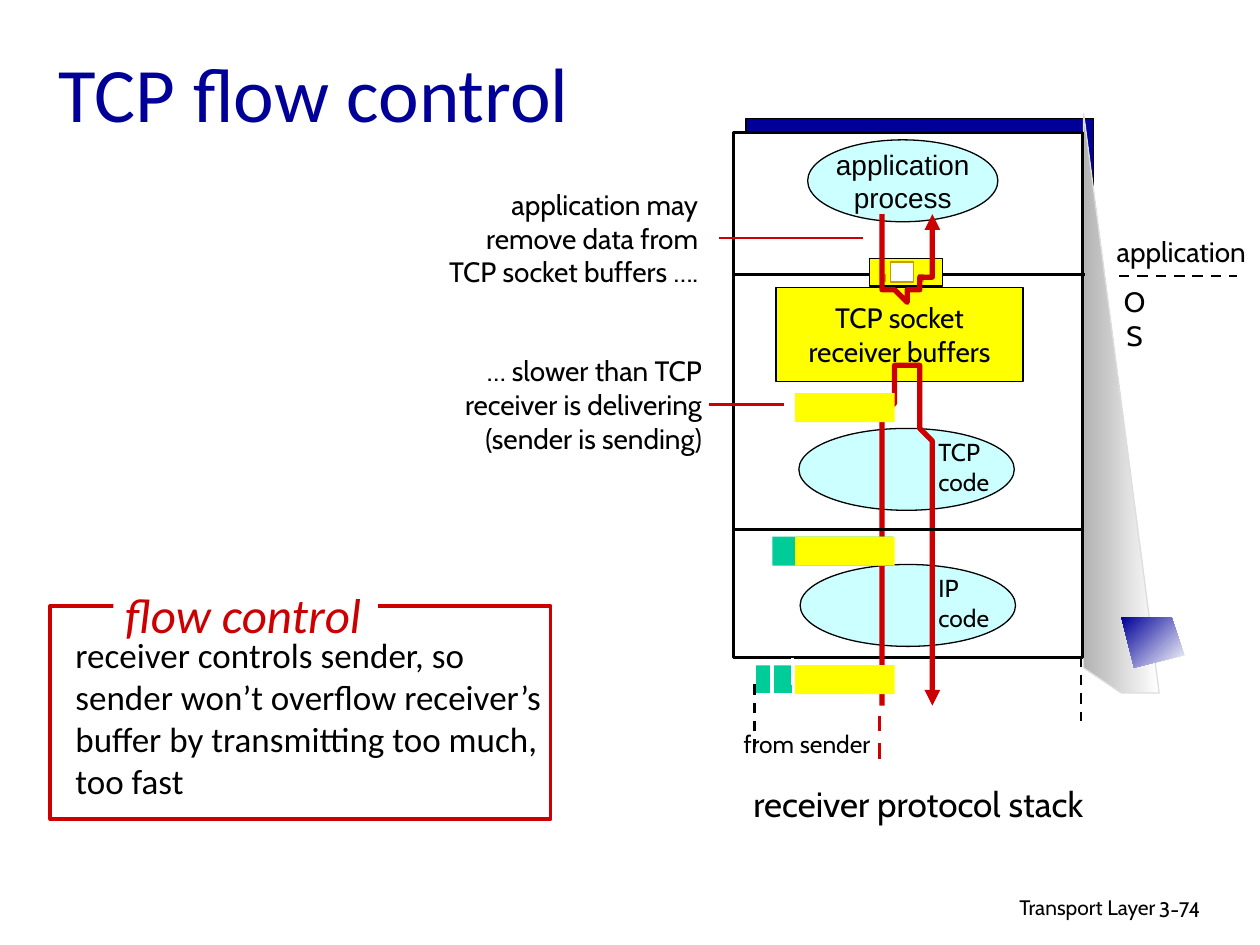
import pptx
import pptx.util
import pptx.dml.color
import pptx.enum.dml
import pptx.enum.shapes
import pptx.enum.text
import pptx.oxml
import pptx.oxml.ns

THEME = dict(
    navy="000099", red="CC0000", aqua="CCFFFF", yellow="FFFF00", green="00CC99",
    gold="CC9900", gray="B2B2B2", pale="DDDDDD", white="FFFFFF", black="000000",
    display="Calibri", label="Cabin", plain="Arial",
    title=44, heading=28, body=20, note=16, small=14, footer=12,
    hair=0.75, rule=1.5, bold=2.25, curve=3,
)
SHAPES = pptx.enum.shapes.MSO_SHAPE
ALIGN = {"l": pptx.enum.text.PP_ALIGN.LEFT, "c": pptx.enum.text.PP_ALIGN.CENTER,
         "r": pptx.enum.text.PP_ALIGN.RIGHT}
MIDDLE = pptx.enum.text.MSO_ANCHOR.MIDDLE
TOP = pptx.enum.text.MSO_ANCHOR.TOP

prs = pptx.Presentation()
prs.slide_width = pptx.util.Inches(10)
prs.slide_height = pptx.util.Inches(7.5)
s = prs.slides.add_slide(prs.slide_layouts[6])
U = prs.slide_width / 100  # grid of 100 columns by 75 rows of square cells
rgb = {k: pptx.dml.color.RGBColor.from_string(v)
       for k, v in THEME.items() if isinstance(v, str) and len(v) == 6}


def box(at, kind=None, fill=None, line=None, width="hair", text=None, size="note",
        font="label", color="black", align="c", anchor=TOP, wrap=False, italic=None):
    """Shape, or text box when no kind is given, at (column, row, columns, rows)."""
    at = [round(v * U) for v in at]
    if kind is None:
        sp = s.shapes.add_textbox(*at)
    else:
        sp = s.shapes.add_shape(kind, *at)
        sp.shadow.inherit = False
        sp.fill.solid()
        sp.fill.fore_color.rgb = rgb[fill]
        if line:
            sp.line.color.rgb = rgb[line]
            sp.line.width = pptx.util.Pt(THEME[width])
        else:
            sp.line.fill.background()
    if text:
        tf = sp.text_frame
        tf.text = text
        tf.word_wrap = wrap
        tf.vertical_anchor = anchor
        for p in tf.paragraphs:
            p.alignment = ALIGN[align]
            p.font.size = pptx.util.Pt(THEME[size])
            p.font.name = THEME[font]
            p.font.color.rgb = rgb[color]
            p.font.italic = italic


def rule(x1, y1, x2, y2, color="black", width="rule", dashed=False):
    """Straight line between two grid points."""
    c = s.shapes.add_connector(pptx.enum.shapes.MSO_CONNECTOR.STRAIGHT,
                               *[round(v * U) for v in (x1, y1, x2, y2)])
    c.line.color.rgb = rgb[color]
    c.line.width = pptx.util.Pt(THEME[width])
    if dashed:
        c.line.dash_style = pptx.enum.dml.MSO_LINE.DASH
    c._element.spPr.append(pptx.oxml.parse_xml(
        f'<a:effectLst {pptx.oxml.ns.nsdecls("a")}/>'))


# Footer and title
box((61, 70.5, 31.7, 3.1), text="Transport Layer", size="footer", align="r", wrap=True)
box((91, 70.7, 7.4, 3), text="3-74", size="footer", align="l", wrap=True)
box((3.7, 1.9, 85, 10.7), text="TCP flow control", size="title", font="display",
    color="navy", align="l", anchor=MIDDLE, wrap=True)

# Backdrop of the stack, its cast shade and the tilted tile
box((59.2, 9.4, 27.6, 42.2), SHAPES.RECTANGLE, "navy", "black")
for points, end, angle, line in (
    ([(92.2, 55.1), (86.1, 9.3), (85.9, 53.1), (89.1, 55.3)], "gray", 180, "pale"),
    ([(89.3, 48.6), (93.1, 48.8), (93.8, 52.2), (90.2, 53.1)], "navy", 135, None),
):
    fb = s.shapes.build_freeform(*points[0], scale=U)
    fb.add_line_segments(points[1:], close=True)
    sp = fb.convert_to_shape()
    sp.shadow.inherit = False
    sp.fill.gradient()
    sp.fill.gradient_angle = angle
    for stop, name in zip(sp.fill.gradient_stops, ("white", end)):
        stop.color.rgb = rgb[name]
    if line:
        sp.line.color.rgb = rgb[line]
        sp.line.width = pptx.util.Pt(THEME["hair"])
    else:
        sp.line.fill.background()

# Protocol stack: frame, process, buffers, code
box((58.2, 10.5, 27.7, 41.7), SHAPES.RECTANGLE, "white", "black", "rule")
box((64.1, 11.1, 15.1, 6.5), SHAPES.OVAL, "aqua", "black",
    text="application\nprocess", font="plain", anchor=MIDDLE)
box((61.6, 22.8, 19.6, 7.5), SHAPES.RECTANGLE, "yellow", "black",
    text="TCP socket\nreceiver buffers", anchor=MIDDLE)
for name, x, y in (("TCP", 63.4, 34), ("IP", 63.5, 44.8)):
    box((x, y, 17.1, 6.5), SHAPES.OVAL, "aqua", "black")
    box((73.5, y + 0.2, 6.4, 5.7), text=f"{name}\ncode", size="small", align="l")

# Socket on the line between application and OS
rule(58.3, 21.8, 86.1, 21.8)
box((69, 20.5, 5.8, 2.2), SHAPES.RECTANGLE, "yellow", "black")
box((70.7, 20.8, 1.8, 1.6), SHAPES.RECTANGLE, "white", "gold")
for x in (69.9, 72.9):
    box((x, 21.8, 0.4, 0.5), SHAPES.RECTANGLE, "gold", "gold")

# Data paths: Bezier arcs traced in short steps, arrow at the end
STEPS = 24
for start, arcs in (
    ((69.8, 56.4), [((70.1, 51.8), (69, 29), (71.9, 29)),
                    ((74.8, 29), (73.3, 50.7), (73.7, 56.4))]),
    ((70, 17), [((70.4, 18.4), (68.9, 23.5), (71.8, 23.5)),
                ((74.7, 23.5), (73.6, 18.1), (73.9, 17))]),
):
    points = [start]
    for b, c, d in arcs:
        a = points[-1]
        for i in range(1, STEPS + 1):
            t = i / STEPS
            weights = ((1 - t) ** 3, 3 * t * (1 - t) ** 2, 3 * t * t * (1 - t), t ** 3)
            points.append(tuple(sum(w * q[k] for w, q in zip(weights, (a, b, c, d)))
                                for k in (0, 1)))
    fb = s.shapes.build_freeform(*start, scale=U)
    fb.add_line_segments(points[1:], close=False)
    sp = fb.convert_to_shape()
    sp.shadow.inherit = False
    sp.fill.background()
    sp.line.color.rgb = rgb["red"]
    sp.line.width = pptx.util.Pt(THEME["curve"])
    sp.line._get_or_add_ln().append(pptx.oxml.parse_xml(
        f'<a:tailEnd {pptx.oxml.ns.nsdecls("a")} type="triangle"/>'))

# Segments: green headers, white gaps, yellow payloads
rule(58.2, 42, 86, 42)
box((60, 52.8, 10.9, 2.2), SHAPES.RECTANGLE, "green")
box((61.3, 42.6, 9.6, 2.3), SHAPES.RECTANGLE, "green")
for x, y in ((61.3, 52.8), (63, 52.8), (62.9, 52.2)):
    rule(x, y, x, y + 2.2, "white", "bold")
for y in (31.2, 42.6, 52.8):
    box((63.1, y, 7.9, 2.3), SHAPES.RECTANGLE, "yellow")

# Pointers and dashed extensions
rule(57.1, 18.9, 68.5, 18.9, "red")
rule(56.3, 32.1, 62.2, 32.1, "red")
rule(69.8, 56.8, 69.8, 60.6, "red", "bold", dashed=True)
rule(88.8, 21.9, 98.2, 21.9, dashed=True)
rule(59.9, 54.3, 59.9, 59.3, dashed=True)
rule(85.8, 52.1, 85.8, 57.2, dashed=True)

# Labels around the stack
box((87, 18.1, 13.5, 3.7), text="application")
box((88, 22.1, 4.1, 6.4), text="OS", wrap=True)
box((57.1, 61.6, 31.6, 4.4), text="receiver protocol stack", size="body")
box((57.4, 57.4, 13.3, 3.4), text="from sender", size="small")
box((22, 14.4, 34.4, 9), align="r", wrap=True,
    text="application may\nremove data from\nTCP socket buffers ….")
box((33.9, 27.6, 22.8, 11.7), align="r", wrap=True,
    text="… slower than TCP\nreceiver is delivering\n(sender is sending)")

# Definition of flow control
box((4, 48.1, 39.7, 16.9), SHAPES.RECTANGLE, "white", "red", "bold")
box((5, 49.8, 39.2, 17.7), size="body", font="display", align="l", wrap=True,
    text="receiver controls sender, so sender won’t overflow receiver’s buffer "
         "by transmitting too much, too fast")
box((9, 46.9, 21, 3.8), SHAPES.RECTANGLE, "white")
box((8.1, 45.9, 22.4, 5.7), text="flow control", size="heading", font="display",
    color="red", italic=True)

prs.save("out.pptx")
